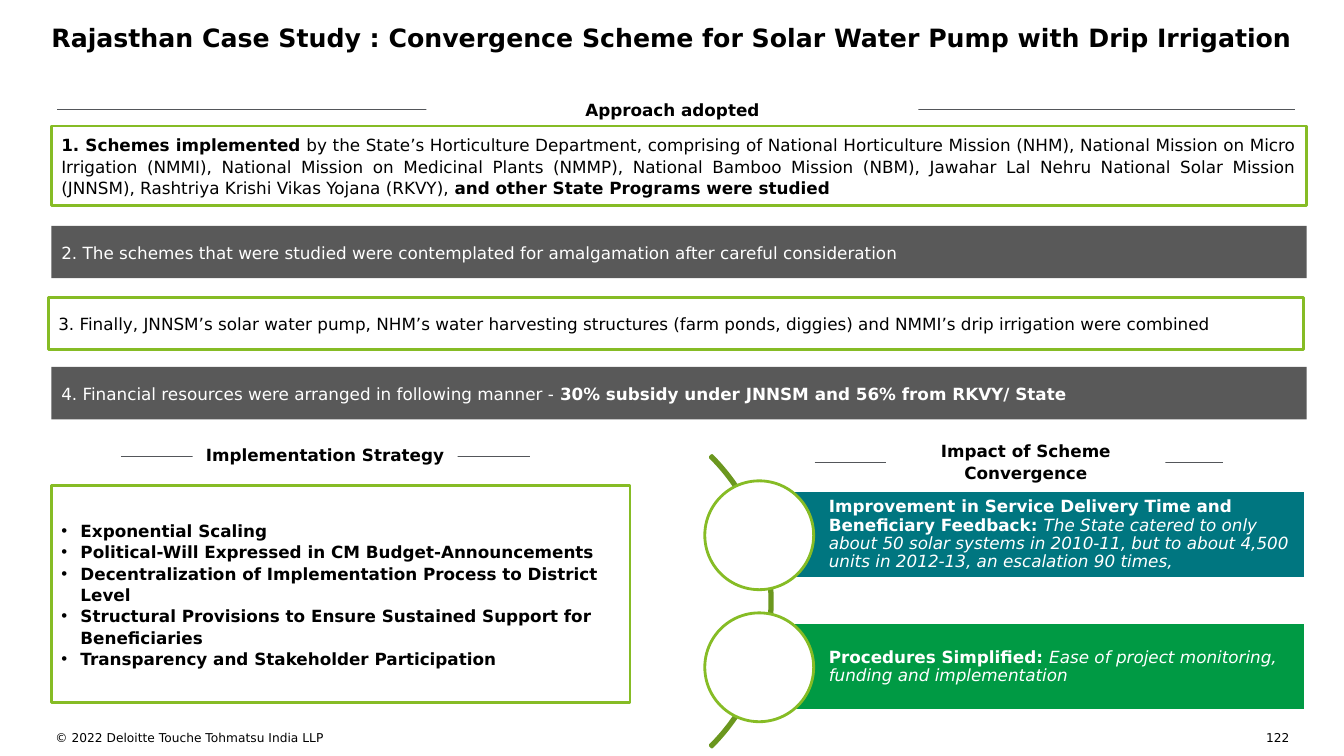
from lxml.etree import SubElement
from pptx import Presentation
from pptx.dml.color import RGBColor
from pptx.enum.shapes import MSO_CONNECTOR, MSO_SHAPE
from pptx.enum.text import MSO_ANCHOR, MSO_AUTO_SIZE, PP_ALIGN
from pptx.oxml.ns import qn
from pptx.util import Inches, Pt

FONT = "DejaVu Sans"
COLORS = {
    "black": "000000", "white": "FFFFFF", "gray": "595959", "rule": "53565A",
    "lime": "86BC25", "olive": "6B971E", "teal": "007680", "green": "009A44",
}
STEPS = [
    (0.51, 1.25, 0.79, "white", [
        ("1. Schemes implemented", "b"),
        (" by the State’s Horticulture Department, comprising of National Horticulture Mission "
         "(NHM), National Mission on Micro Irrigation (NMMI), National Mission on Medicinal "
         "Plants (NMMP), National Bamboo Mission (NBM), Jawahar Lal Nehru National Solar Mission "
         "(JNNSM), Rashtriya Krishi Vikas Yojana (RKVY), ", ""),
        ("and other State Programs were studied", "b")]),
    (0.51, 2.24, 0.52, "gray", [
        ("2. The schemes that were studied were contemplated for amalgamation after careful "
         "consideration", "")]),
    (0.48, 2.95, 0.52, "white", [
        ("3. Finally, JNNSM’s solar water pump, NHM’s water harvesting structures (farm ponds, "
         "diggies) and NMMI’s drip irrigation were combined", "")]),
    (0.51, 3.64, 0.52, "gray", [
        ("4. Financial resources were arranged in following manner - ", ""),
        ("30% subsidy under JNNSM and 56% from RKVY/ State", "b")]),
]
HEADINGS = [
    # text, box (left, top, width, height), rule (start, end, height on page)
    ("Approach adopted", (4.23, 0.97, 4.88, 0.22), (0.57, 12.84, 1.09)),
    ("Implementation Strategy", (1.91, 4.41, 2.63, 0.19), (1.2, 5.26, 4.53)),
    ("Impact of Scheme Convergence", (8.79, 4.53, 2.77, 0.09), (8.08, 12.13, 4.59)),
]
STRATEGIES = [
    "Exponential Scaling",
    "Political-Will Expressed in CM Budget-Announcements",
    "Decentralization of Implementation Process to District Level",
    "Structural Provisions to Ensure Sustained Support for Beneficiaries",
    "Transparency and Stakeholder Participation",
]
IMPACTS = [
    ("teal", "Improvement in Service Delivery Time and Beneficiary Feedback: ",
     "The State catered to only about 50 solar systems in 2010-11, but to about 4,500 units in "
     "2012-13, an escalation 90 times,"),
    ("green", "Procedures Simplified: ",
     "Ease of project monitoring, funding and implementation"),
]


def rgb(name):
    return RGBColor.from_string(COLORS[name])


def add_bullet(para):
    properties = para._p.get_or_add_pPr()
    properties.set("marL", str(Inches(0.19)))
    properties.set("indent", str(-Inches(0.19)))
    SubElement(properties, qn("a:buFont"), typeface="Arial")
    SubElement(properties, qn("a:buChar"), char="•")


def write(shape, paragraphs, size=12, color="black", align=PP_ALIGN.LEFT,
          anchor=MSO_ANCHOR.MIDDLE, insets=(0.1, 0.1, 0.1, 0.1), spacing=None, bullets=False):
    """Fill a shape with paragraphs, each a list of (text, style); style holds b and i flags."""
    frame = shape.text_frame
    frame.word_wrap = True
    frame.auto_size = MSO_AUTO_SIZE.NONE
    frame.vertical_anchor = anchor
    frame.margin_left, frame.margin_top, frame.margin_right, frame.margin_bottom = map(
        Inches, insets)
    for index, spans in enumerate(paragraphs):
        para = frame.add_paragraph() if index else frame.paragraphs[0]
        para.alignment = align
        if spacing:
            para.line_spacing = spacing
        if bullets:
            add_bullet(para)
        for text, style in spans:
            span = para.add_run()
            span.text = text
            font = span.font
            font.name, font.size = FONT, Pt(size)
            font.bold, font.italic = "b" in style, "i" in style
            font.color.rgb = rgb(color)


def add_box(page, bounds, fill=None, line=None, kind=MSO_SHAPE.RECTANGLE):
    box = page.shapes.add_shape(kind, *map(Inches, bounds))
    box.shadow.inherit = False
    if fill:
        box.fill.solid()
        box.fill.fore_color.rgb = rgb(fill)
    else:
        box.fill.background()
    if line:
        box.line.color.rgb = rgb(line)
        box.line.width = Pt(2)
    else:
        box.line.fill.background()
    return box


def add_heading(page, text, bounds, rule):
    """Draw a rule broken in the middle by a bold heading."""
    start, end, top = map(Inches, rule)
    line = page.shapes.add_connector(MSO_CONNECTOR.STRAIGHT, start, top, end, top)
    line.line.color.rgb = rgb("rule")
    line.line.width = Pt(0.75)
    SubElement(line._element.spPr, qn("a:effectLst"))
    write(add_box(page, bounds, "white"), [[(text, "b")]], align=PP_ALIGN.CENTER, spacing=1.06)


def add_step(page, left, top, height, fill, spans):
    on_white = fill == "white"
    box = add_box(page, (left, top, 12.45, height), fill, "lime" if on_white else None)
    write(box, [spans], color="black" if on_white else "white",
          align=PP_ALIGN.JUSTIFY, spacing=1.06)


def add_impact(page, top, fill, label, detail):
    bar = add_box(page, (7.53, top, 5.42, 0.87), fill, "white")
    write(bar, [[(label, "b"), (detail, "i")]], color="white",
          insets=(0.69, 0.03, 0.03, 0.03), spacing=0.9)
    add_box(page, (6.99, top - 0.1, 1.08, 1.08), "white", "lime", MSO_SHAPE.OVAL)


def add_footer(page, bounds, text, align):
    box = page.shapes.add_textbox(*map(Inches, bounds))
    write(box, [[(text, "")]], size=8.7, align=align, anchor=MSO_ANCHOR.TOP,
          insets=(0, 0, 0, 0))


def add_title(page, text):
    title = page.shapes.title
    title.left, title.top, title.width, title.height = map(Inches, (0.51, 0.22, 12.31, 0.37))
    write(title, [[(text, "b")]], size=18, anchor=MSO_ANCHOR.TOP, insets=(0, 0, 0, 0))


def main():
    deck = Presentation()
    deck.slide_width, deck.slide_height = Inches(13.33), Inches(7.5)
    page = deck.slides.add_slide(deck.slide_layouts[5])

    add_title(page, "Rajasthan Case Study : Convergence Scheme for Solar Water Pump "
                    "with Drip Irrigation")
    add_footer(page, (0.55, 7.25, 5.86, 0.22), "© 2022 Deloitte Touche Tohmatsu India LLP",
               PP_ALIGN.LEFT)
    add_footer(page, (12.45, 7.25, 0.34, 0.11), "122", PP_ALIGN.RIGHT)

    for heading in HEADINGS:
        add_heading(page, *heading)
    for step in STEPS:
        add_step(page, *step)

    strategy_box = add_box(page, (0.51, 4.82, 5.74, 2.15), "white", "lime")
    write(strategy_box, [[(text, "b")] for text in STRATEGIES], spacing=1.06, bullets=True)

    arc = add_box(page, (3.57, 3.92, 4.09, 4.09), line="olive", kind=MSO_SHAPE.BLOCK_ARC)
    for index, value in enumerate((189, 27, 0.006)):
        arc.adjustments[index] = value
    for index, impact in enumerate(IMPACTS):
        add_impact(page, 4.87 + 1.31 * index, *impact)

    deck.save("out.pptx")


if __name__ == "__main__":
    main()
